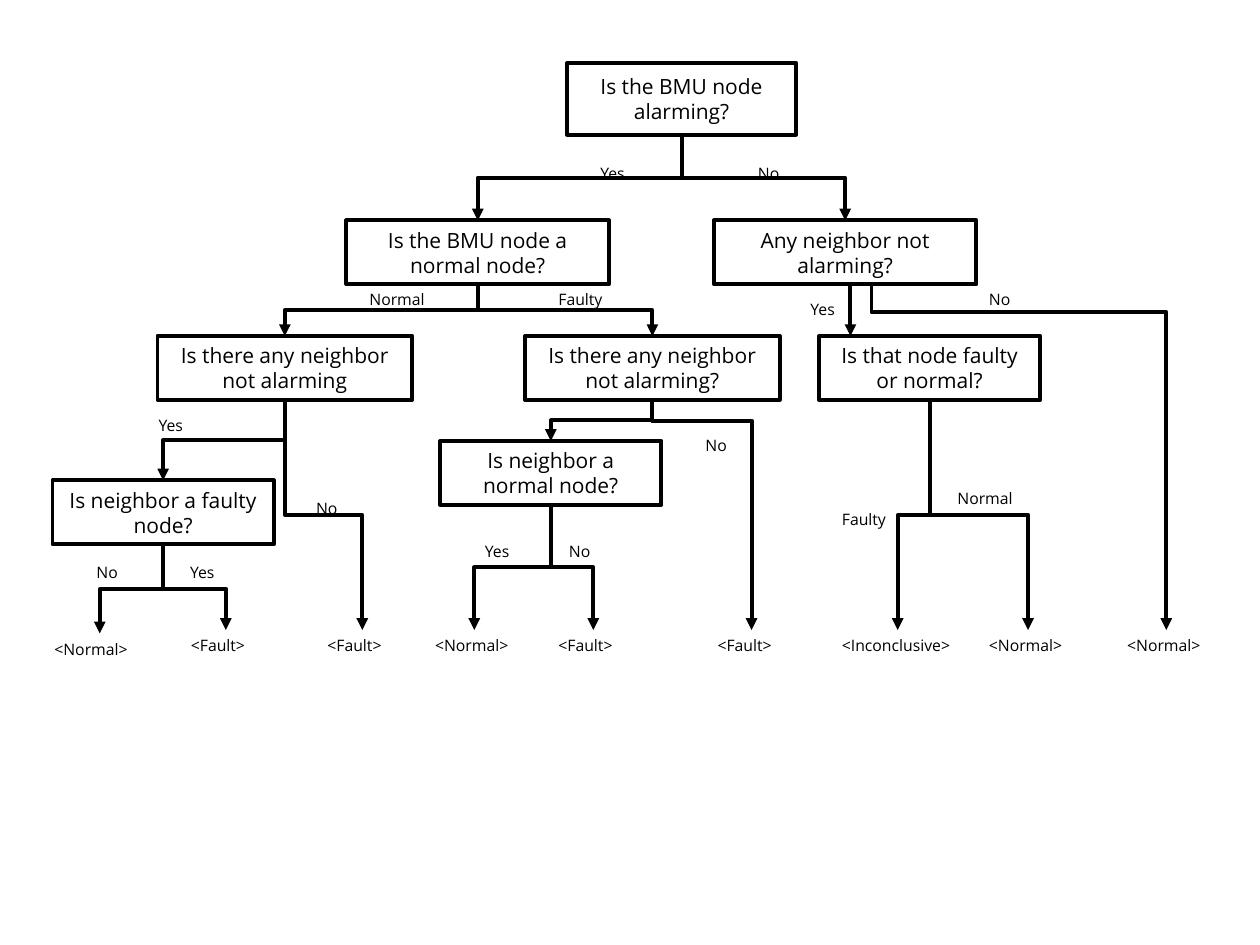
import pptx
import pptx.util
import pptx.dml.color
import pptx.enum.shapes
import pptx.enum.text
import pptx.oxml.ns
from lxml import etree

Pt = pptx.util.Pt
qn = pptx.oxml.ns.qn
COLORS = {"ink": "000000", "paper": "FFFFFF"}
FONT = "Open Sans"
LINE = 2.25
LABEL_H = 18

# name: text, left, top, width, height
QUESTIONS = {
    "bmu alarming": ("Is the BMU node alarming?", 324, 36, 131, 41),
    "bmu normal": ("Is the BMU node a normal node?", 198, 126, 150, 36.5),
    "any silent": ("Any neighbor not alarming?", 408, 126, 150, 36.5),
    "silent left": ("Is there any neighbor not alarming", 90, 192, 145.5, 36.5),
    "silent right": ("Is there any neighbor not alarming?", 300, 192, 145.5, 36.5),
    "which kind": ("Is that node faulty or normal?", 468, 192, 126.5, 36.5),
    "faulty neighbor": ("Is neighbor a faulty node?", 30, 274.5, 126.5, 36.5),
    "normal neighbor": ("Is neighbor a normal node?", 251.5, 252, 126.5, 36.5),
}

OUTCOMES = {
    "normal 1": ("<Normal>", 24, 362, 66, LABEL_H),
    "fault 1": ("<Fault>", 102, 360, 54, LABEL_H),
    "fault 2": ("<Fault>", 180, 360, 54, LABEL_H),
    "normal 2": ("<Normal>", 241.5, 360, 59, LABEL_H),
    "fault 3": ("<Fault>", 312, 360, 54, LABEL_H),
    "fault 4": ("<Fault>", 403, 360, 53, LABEL_H),
    "inconclusive": ("<Inconclusive>", 474, 360, 78, LABEL_H),
    "normal 3": ("<Normal>", 558, 360, 59, LABEL_H),
    "normal 4": ("<Normal>", 637, 360, 59, LABEL_H),
}

# source, target, answer, answer left, answer top, connector options
BRANCHES = [
    ("bmu alarming", "bmu normal", "Yes", 336, 90, {}),
    ("bmu alarming", "any silent", "No", 426, 90, {}),
    ("bmu normal", "silent left", "Normal", 204, 162, {}),
    ("bmu normal", "silent right", "Faulty", 312, 162, {}),
    ("any silent", "which kind", "Yes", 456, 168, {"end_dx": -45.25, "bend": 0}),
    ("any silent", "normal 4", "No", 558, 162, {"start_dx": 15, "bend": 0.08}),
    ("silent left", "faulty neighbor", "Yes", 83.5, 234, {}),
    ("silent left", "fault 2", "No", 173.5, 281.5, {}),
    ("silent right", "normal neighbor", "", 0, 0, {}),
    ("silent right", "fault 4", "No", 396, 245.5, {"bend": 0.09}),
    ("faulty neighbor", "normal 1", "No", 48, 318, {}),
    ("faulty neighbor", "fault 1", "Yes", 101.5, 318, {"bend": 0.52}),
    ("normal neighbor", "normal 2", "Yes", 270, 306, {}),
    ("normal neighbor", "fault 3", "No", 318, 306, {}),
    ("which kind", "inconclusive", "Faulty", 474, 288, {}),
    ("which kind", "normal 3", "Normal", 540, 276, {}),
]


def rgb(name):
    """Return a named colour."""
    return pptx.dml.color.RGBColor.from_string(COLORS[name])


def write(tf, text, size=9, align="LEFT", anchor="TOP", color="ink"):
    """Put formatted text into a text frame."""
    tf.word_wrap = True
    tf.vertical_anchor = pptx.enum.text.MSO_ANCHOR[anchor]
    p = tf.paragraphs[0]
    p.alignment = pptx.enum.text.PP_ALIGN[align]
    r = p.add_run()
    r.text = text
    r.font.size, r.font.name = Pt(size), FONT
    r.font.color.rgb = rgb(color)


def add_label(s, text, *box):
    """Add a small borderless label."""
    tf = s.shapes.add_textbox(*map(Pt, box)).text_frame
    write(tf, text)
    tf.auto_size = pptx.enum.text.MSO_AUTO_SIZE.SHAPE_TO_FIT_TEXT


def add_question(s, text, *box):
    """Add an outlined question box."""
    sp = s.shapes.add_shape(pptx.enum.shapes.MSO_SHAPE.RECTANGLE, *map(Pt, box))
    sp.shadow.inherit = False
    sp.fill.solid()
    sp.fill.fore_color.rgb = rgb("paper")
    sp.line.color.rgb = rgb("ink")
    sp.line.width = Pt(LINE)
    write(sp.text_frame, text, size=12, align="CENTER", anchor="MIDDLE")


def add_branch(s, source, target, start_dx=0, end_dx=0, bend=0.5):
    """Join two boxes with an elbow arrow that leaves and arrives vertically."""
    _, left, top, width, height = source
    x1, y1 = left + width / 2 + start_dx, top + height
    _, left, top, width, _ = target
    x2, y2 = left + width / 2 + end_dx, top
    # The elbow preset runs sideways, so it is laid flat and turned a quarter.
    run, rise = y2 - y1, abs(x2 - x1)
    x, y = (x1 + x2 - run) / 2, (y1 + y2 - rise) / 2
    cxn = s.shapes.add_connector(pptx.enum.shapes.MSO_CONNECTOR.ELBOW,
                                 Pt(x), Pt(y), Pt(x + run), Pt(y + rise))
    cxn.line.color.rgb = rgb("ink")
    cxn.line.width = Pt(LINE)
    spPr = cxn._element.spPr
    xfrm = spPr.find(qn("a:xfrm"))
    if x2 > x1:
        xfrm.set("rot", str(270 * 60000))
        xfrm.set("flipH", "1")
    else:
        xfrm.set("rot", str(90 * 60000))
    geom = spPr.find(qn("a:prstGeom"))
    av = geom.find(qn("a:avLst"))
    if av is None:
        av = etree.SubElement(geom, qn("a:avLst"))
    etree.SubElement(av, qn("a:gd"), name="adj1", fmla=f"val {round(bend * 100000)}")
    etree.SubElement(spPr.find(qn("a:ln")), qn("a:tailEnd"), type="triangle")
    etree.SubElement(spPr, qn("a:effectLst"))


prs = pptx.Presentation()
prs.slide_width, prs.slide_height = Pt(720), Pt(540)
s = prs.slides.add_slide(prs.slide_layouts[6])

for question in QUESTIONS.values():
    add_question(s, *question)
for outcome in OUTCOMES.values():
    add_label(s, *outcome)
nodes = {**QUESTIONS, **OUTCOMES}
for source, target, answer, left, top, options in BRANCHES:
    add_branch(s, nodes[source], nodes[target], **options)
    if answer:
        add_label(s, answer, left, top, 60 if answer == "Normal" else 54, LABEL_H)

prs.save("out.pptx")
